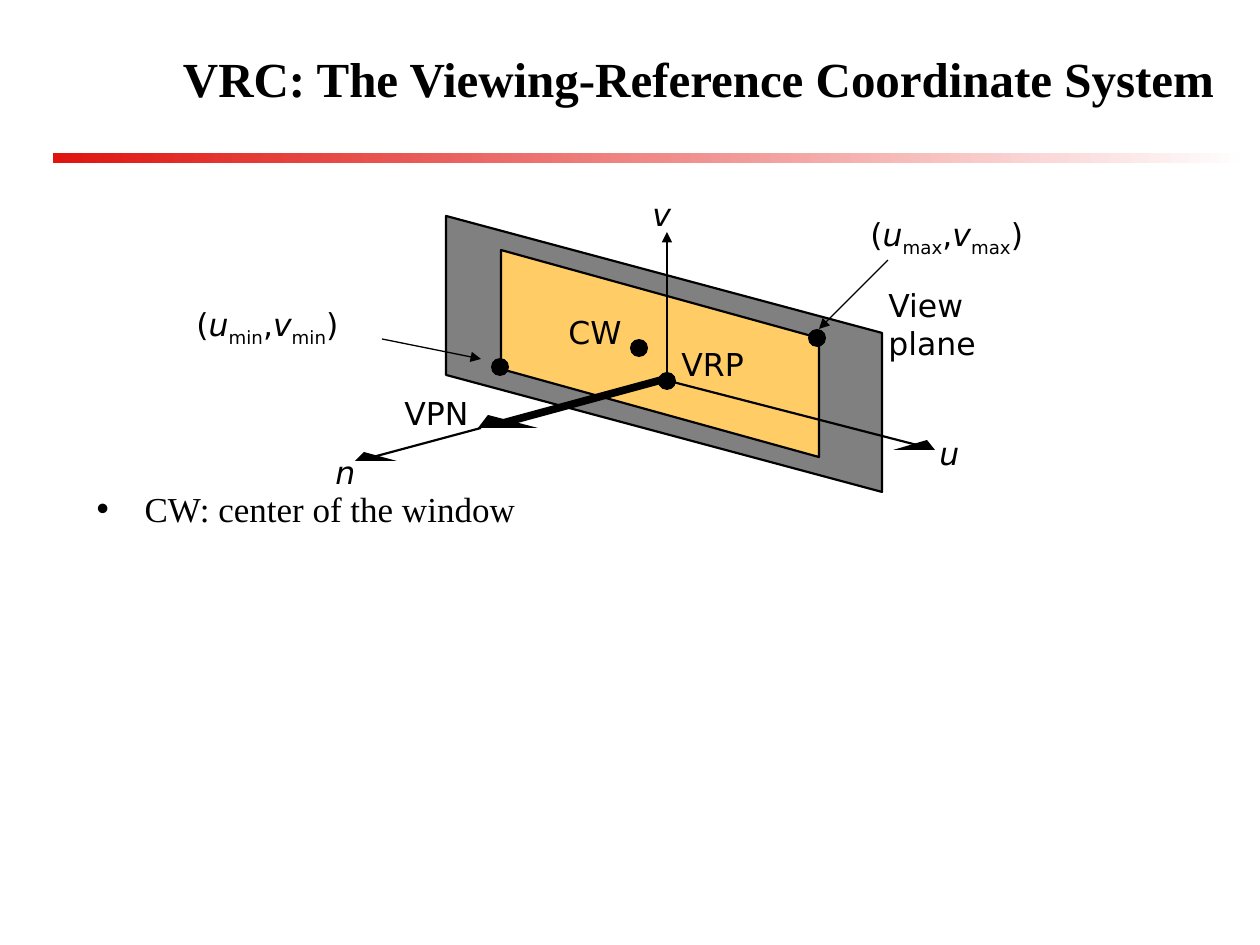
"""Build the viewing-reference coordinate system slide."""
from lxml import etree
from pptx import Presentation
from pptx.dml.color import RGBColor
from pptx.enum.shapes import MSO_CONNECTOR, MSO_SHAPE
from pptx.enum.text import MSO_ANCHOR, MSO_AUTO_SIZE, PP_ALIGN
from pptx.oxml.ns import qn
from pptx.util import Pt

PX = 914400 / 126
STRAIGHT = MSO_CONNECTOR.STRAIGHT
OVAL, RECTANGLE = MSO_SHAPE.OVAL, MSO_SHAPE.RECTANGLE
MIDDLE, CENTER = MSO_ANCHOR.MIDDLE, PP_ALIGN.CENTER
NO_AUTOFIT = MSO_AUTO_SIZE.NONE

BLACK = RGBColor(0x00, 0x00, 0x00)
WHITE = RGBColor(0xFF, 0xFF, 0xFF)
RED = RGBColor(0xDF, 0x14, 0x0F)
GRAY = RGBColor(0x80, 0x80, 0x80)
GOLD = RGBColor(0xFF, 0xCC, 0x66)
SERIF, SANS = "Times New Roman", "DejaVu Sans"

TITLE = "VRC: The Viewing-Reference Coordinate System"
TITLE_BOX = (147, 10, 1103, 136)
BULLET = "CW: center of the window"
BULLET_BOX = (84, 481, 1113, 232)
BULLET_INDENT = 48
RULE_BOX = (53, 153, 1197, 10)

PLANES = [
    ([(446, 216), (882, 333), (882, 492), (446, 375)], GRAY),
    ([(501, 250), (819, 338), (819, 457), (501, 369)], GOLD),
]
AXES = [
    ((503, 423), (665, 379), 4.38, False),
    ((373, 457), (481, 428), 1.25, False),
    ((917, 445), (669, 381), 1.25, False),
    ((667, 377), (667, 232), 1.25, True),
    ((382, 339), (481, 359), 0.75, True),
    ((888, 260), (819, 329), 0.75, True),
]
AXIS_HEADS = [
    [(538, 428), (478, 428), (488, 415)],
    [(397, 461), (355, 461), (364, 452)],
    [(893, 450), (935, 450), (927, 440)],
]
POINT_SIZE = 18
POINTS = [(667, 381), (639, 348), (817, 338), (500, 367)]

PLAIN, ITALIC, SUBSCRIPT = "plain", "italic", "subscript"


def corner(limit):
    return [("(", PLAIN), ("u", ITALIC), (limit, SUBSCRIPT), (",", PLAIN),
            ("v", ITALIC), (limit, SUBSCRIPT), (")", PLAIN)]


LABELS = [
    ((323, 447, 48, 50), [("n", ITALIC)]),
    ((927, 428, 48, 50), [("u", ITALIC)]),
    ((392, 388, 100, 50), [("VPN", PLAIN)]),
    ((669, 339, 97, 50), [("VRP", PLAIN)]),
    ((640, 189, 45, 50), [("v", ITALIC)]),
    ((556, 307, 83, 50), [("CW", PLAIN)]),
    ((876, 280, 122, 88), [("View", PLAIN), ("\n", PLAIN), ("plane", PLAIN)]),
    ((858, 209, 214, 50), corner("max")),
    ((184, 299, 203, 50), corner("min")),
]


def emu(*lengths):
    return [round(length * PX) for length in lengths]


def set_font(paragraph, name, size, bold=False):
    font = paragraph.font
    font.name, font.size, font.bold = name, Pt(size), bold
    font.color.rgb = BLACK


def fill_placeholder(placeholder, box, text):
    placeholder.left, placeholder.top, placeholder.width, placeholder.height = emu(*box)
    frame = placeholder.text_frame
    frame.text = text
    frame.auto_size = NO_AUTOFIT
    return frame, frame.paragraphs[0]


def add_title_and_bullet(slide):
    frame, heading = fill_placeholder(slide.shapes.title, TITLE_BOX, TITLE)
    frame.vertical_anchor = MIDDLE
    heading.alignment = CENTER
    set_font(heading, SERIF, 28, True)

    _, item = fill_placeholder(slide.placeholders[1], BULLET_BOX, BULLET)
    properties = item._p.get_or_add_pPr()
    indent, = emu(BULLET_INDENT)
    properties.set("marL", str(indent))
    properties.set("indent", str(-indent))
    etree.SubElement(properties, qn("a:buChar"), char="•")
    item.space_before = Pt(0)
    set_font(item, SERIF, 20)


def add_rule(shapes):
    rule = shapes.add_shape(RECTANGLE, *emu(*RULE_BOX))
    rule.shadow.inherit = False
    rule.line.fill.background()
    rule.fill.gradient()
    rule.fill.gradient_angle = 0
    for stop, color in zip(rule.fill.gradient_stops, (RED, WHITE)):
        stop.color.rgb = color


def paint(shape, color, outline=None):
    shape.shadow.inherit = False
    shape.fill.solid()
    shape.fill.fore_color.rgb = color
    if outline:
        shape.line.color.rgb = BLACK
        shape.line.width = Pt(outline)
    else:
        shape.line.fill.background()


def add_polygon(shapes, corners, color, outline=None):
    builder = shapes.build_freeform(*corners[0], scale=PX)
    builder.add_line_segments(corners[1:], close=True)
    paint(builder.convert_to_shape(), color, outline)


def add_line(shapes, start, end, width, arrow):
    line = shapes.add_connector(STRAIGHT, *emu(*start, *end))
    line.line.color.rgb = BLACK
    line.line.width = Pt(width)
    if arrow:
        etree.SubElement(line.line._get_or_add_ln(), qn("a:tailEnd"), type="triangle")
    etree.SubElement(line._element.spPr, qn("a:effectLst"))


def add_label(shapes, box, pieces):
    frame = shapes.add_textbox(*emu(*box)).text_frame
    frame.word_wrap = False
    paragraph = frame.paragraphs[0]
    set_font(paragraph, SANS, 18)
    for text, style in pieces:
        if text == "\n":
            paragraph.add_line_break()
            continue
        run = paragraph.add_run()
        run.text = text
        if style == ITALIC:
            run.font.italic = True
        elif style == SUBSCRIPT:
            run.font._element.set("baseline", "-25000")


def main():
    presentation = Presentation()
    presentation.slide_width, presentation.slide_height = emu(1260, 945)
    slide = presentation.slides.add_slide(presentation.slide_layouts[1])
    shapes = slide.shapes
    add_title_and_bullet(slide)
    add_rule(shapes)
    for corners, color in PLANES:
        add_polygon(shapes, corners, color, 1.25)
    for axis in AXES:
        add_line(shapes, *axis)
    for corners in AXIS_HEADS:
        add_polygon(shapes, corners, BLACK)
    for x, y in POINTS:
        left, top = x - POINT_SIZE // 2, y - POINT_SIZE // 2
        paint(shapes.add_shape(OVAL, *emu(left, top, POINT_SIZE, POINT_SIZE)), BLACK)
    for box, pieces in LABELS:
        add_label(shapes, box, pieces)
    presentation.save("out.pptx")


if __name__ == "__main__":
    main()
